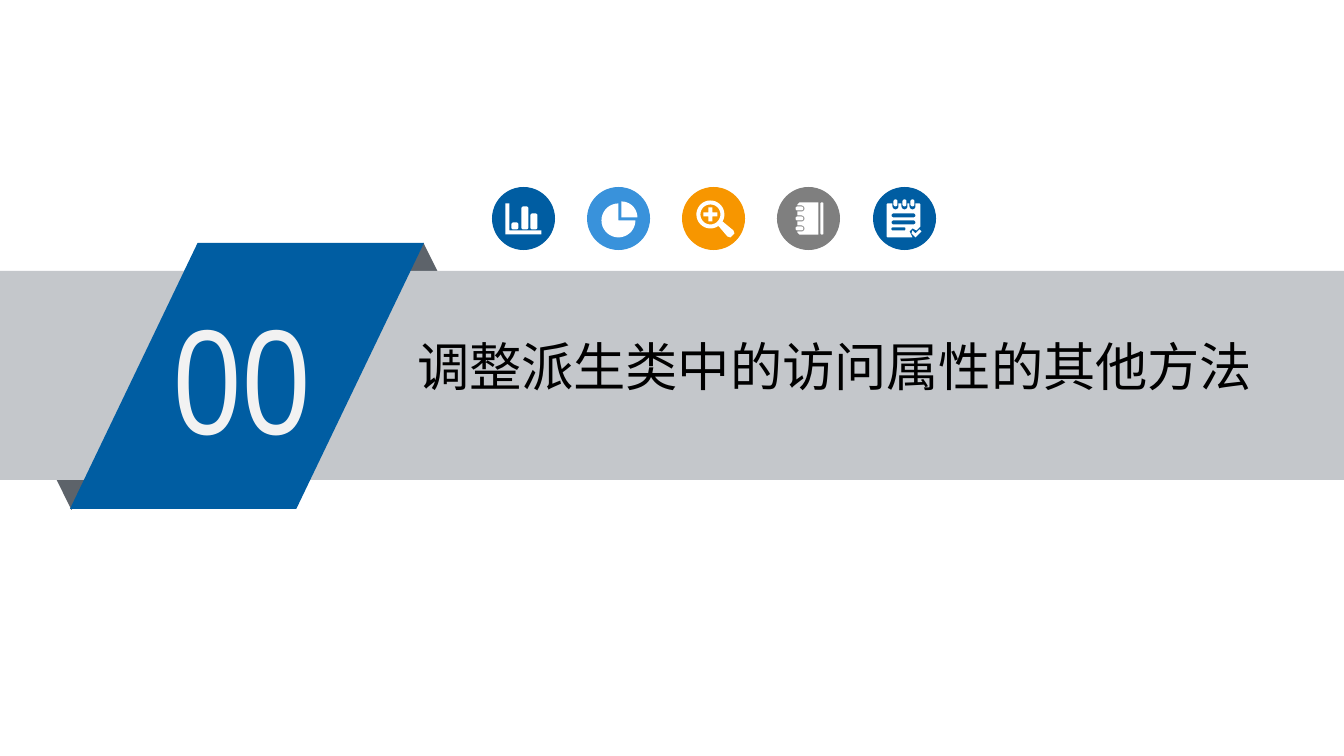
"""Build a section slide with a folded ribbon, a heading and five icon discs."""
import dataclasses
import math

import pptx
import pptx.dml.color
import pptx.enum.shapes
import pptx.enum.text
import pptx.util

PRESET = pptx.enum.shapes.MSO_SHAPE
EMU_PER_PX = 9144000 / 1344
DISC = 63


@dataclasses.dataclass(frozen=True)
class Theme:
    blue: str = "005DA2"
    sky: str = "3992DB"
    orange: str = "F79600"
    grey: str = "7F7F7F"
    band: str = "C4C7CB"
    fold: str = "5D636A"
    white: str = "FFFFFF"
    number_ink: str = "F2F2F2"
    heading_ink: str = "000000"
    number_font: str = "Arial Narrow"
    heading_font: str = "Calibri"
    number_size: int = 80
    heading_size: int = 28


THEME = Theme()


def px(length):
    return pptx.util.Emu(round(length * EMU_PER_PX))


def rgb(color):
    return pptx.dml.color.RGBColor.from_string(color)


def paint(shape, color):
    shape.shadow.inherit = False
    shape.fill.solid()
    shape.fill.fore_color.rgb = rgb(color)
    shape.line.fill.background()


def add_preset(shapes, preset, frame, color):
    shape = shapes.add_shape(preset, *map(px, frame))
    paint(shape, color)
    return shape


def add_label(shapes, frame, text, font, size, color):
    box = shapes.add_textbox(*map(px, frame))
    text_frame = box.text_frame
    text_frame.word_wrap = True
    text_frame.auto_size = pptx.enum.text.MSO_AUTO_SIZE.SHAPE_TO_FIT_TEXT
    text_frame.margin_left = text_frame.margin_right = px(10)
    text_frame.margin_top = text_frame.margin_bottom = px(5)
    para = text_frame.paragraphs[0]
    para.text = text
    para.font.name = font
    para.font.size = pptx.util.Pt(size)
    para.font.color.rgb = rgb(color)


def arc(x, y, radius, start, end):
    steps = max(4, abs(end - start) // 10)
    angles = [math.radians(start + (end - start) * step / steps)
              for step in range(steps + 1)]
    return [(x + radius * math.cos(angle), y + radius * math.sin(angle))
            for angle in angles]


def pill(left, top, width, height, radius=2):
    right, bottom = left + width - radius, top + height - radius
    left, top = left + radius, top + radius
    return (arc(left, top, radius, 180, 270) + arc(right, top, radius, 270, 360)
            + arc(right, bottom, radius, 0, 90) + arc(left, bottom, radius, 90, 180))


def bar_chart():
    axes = [(-18, -15), (-14, -15), (-14, 12), (18, 12), (18, 16), (-18, 16)]
    return [axes, pill(-12, 4, 7, 7), pill(-2, -12, 7, 23), pill(7, -5, 7, 16)]


def pie_chart():
    return [[(0, 2)] + arc(0, 2, 17, 0, 270), [(3, -1)] + arc(3, -1, 16, 270, 360)]


def magnifier():
    x, y = -3, -4
    handle = [(20, 12), (21, 15), (17, 19), (14, 18)]
    corners = [(-7, -2), (-2, -2), (-2, -7), (2, -7), (2, -2), (7, -2),
               (7, 2), (2, 2), (2, 7), (-2, 7), (-2, 2), (-7, 2)]
    plus = [(x + across, y + down) for across, down in corners]
    return [arc(x, y, 14, 55, 390) + handle, arc(x, y, 10, 0, 360), plus]


def notebook():
    holes = (10, 0, -10)
    cover = [(10, -16), (10, 16), (-9, 16), (-11, 14)]
    for y in holes:
        cover += [(-11, y + 3)] + arc(-7, y, 3, 90, -90) + [(-11, y - 3)]
    cover += [(-11, -14), (-9, -16)]
    return [cover, pill(12, -16, 3, 32, 1)] + [pill(-13, y - 2, 8, 4) for y in holes]


def checklist():
    holes = (-9, 0, 8)
    sheet = [(-18, -14), (-17, -15)]
    for x in holes:
        sheet += [(x - 3, -15)] + arc(x, -12, 3, 180, 0) + [(x + 3, -15)]
    sheet += [(15, -15), (16, -14), (16, 8), (12, 12), (8, 10),
              (5, 13), (8, 19), (-17, 19), (-18, 18)]
    tick = [(17, 13), (11, 19), (7, 15), (8, 12), (11, 15), (15, 11)]
    lines = [pill(-13, -5, 24, 4), pill(-13, 2, 24, 4), pill(-13, 9, 14, 3, 1)]
    return [sheet, tick] + lines + [pill(x - 2, -19, 4, 7) for x in holes]


def add_icon(page, left, top, color, outlines):
    shapes = page.shapes.add_group_shape().shapes
    add_preset(shapes, PRESET.OVAL, (left, top, DISC, DISC), color)
    x, y = left + DISC / 2, top + DISC / 2
    builder = None
    for outline in outlines:
        points = [(px(x + across), px(y + down)) for across, down in outline]
        if builder is None:
            builder = shapes.build_freeform(*points[0], scale=1.0)
        else:
            builder.move_to(*points[0])
        builder.add_line_segments(points[1:], close=True)
    paint(builder.convert_to_shape(), THEME.white)


def add_ribbon(page):
    shapes = page.shapes.add_group_shape().shapes
    add_preset(shapes, PRESET.ISOSCELES_TRIANGLE, (363, 243, 121, 122), THEME.fold)
    lower_fold = add_preset(shapes, PRESET.ISOSCELES_TRIANGLE,
                            (11, 388, 121, 122), THEME.fold)
    lower_fold.rotation = 180
    add_preset(shapes, PRESET.RECTANGLE, (0, 271, 1344, 209), THEME.band)
    flag = add_preset(shapes, PRESET.PARALLELOGRAM, (70, 243, 354, 266), THEME.blue)
    flag.adjustments[0] = 0.48
    add_label(shapes, (164, 280, 195, 191), "00",
              THEME.number_font, THEME.number_size, THEME.number_ink)


def main():
    deck = pptx.Presentation()
    deck.slide_width, deck.slide_height = px(1344), px(756)
    page = deck.slides.add_slide(deck.slide_layouts[6])
    add_ribbon(page)
    add_label(page.shapes, (407, 329, 900, 74), "调整派生类中的访问属性的其他方法",
              THEME.heading_font, THEME.heading_size, THEME.heading_ink)
    icons = [(THEME.blue, bar_chart), (THEME.sky, pie_chart),
             (THEME.orange, magnifier), (THEME.grey, notebook),
             (THEME.blue, checklist)]
    for index, (color, draw) in enumerate(icons):
        add_icon(page, 492 + 381 * index // 4, 187, color, draw())
    deck.save("out.pptx")


if __name__ == "__main__":
    main()
